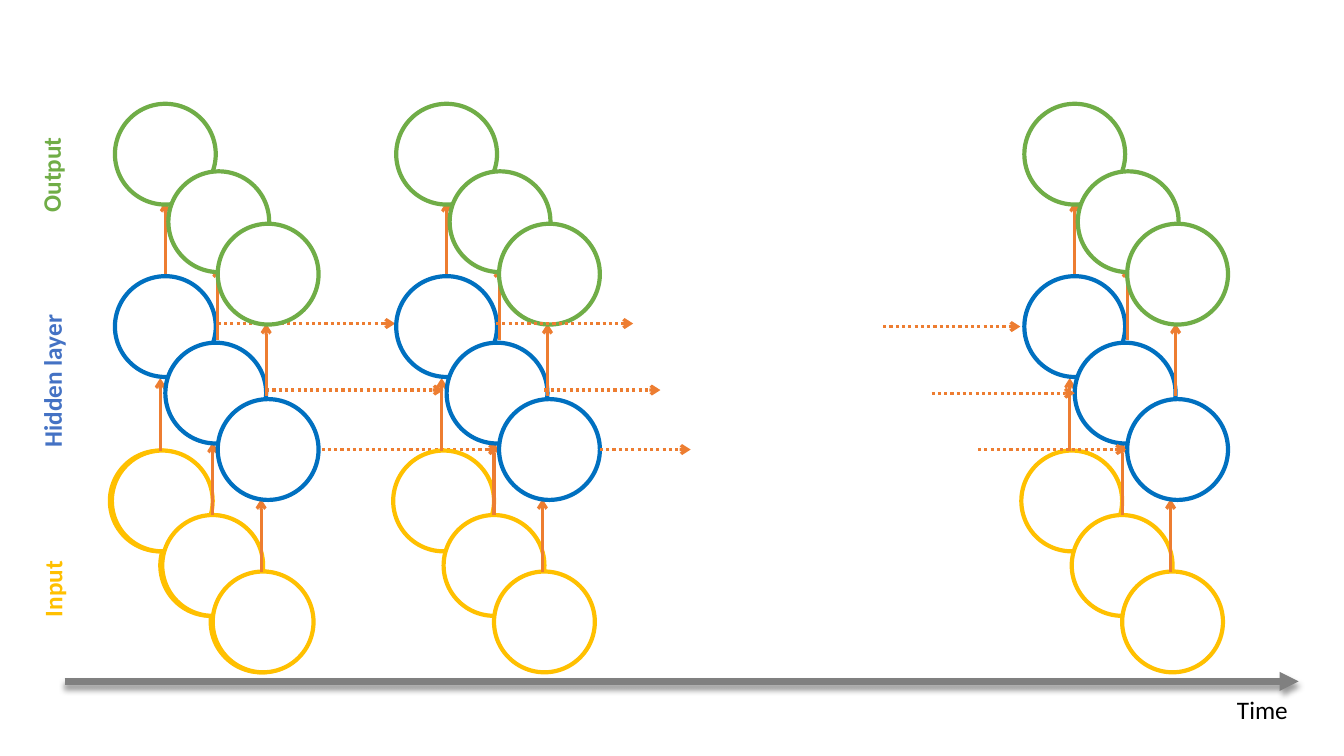
from dataclasses import dataclass

from lxml.etree import SubElement as Sub
from pptx import Presentation
from pptx.dml.color import RGBColor as RGB
from pptx.enum.dml import MSO_LINE as Dash
from pptx.enum.shapes import MSO_CONNECTOR as Link, MSO_SHAPE as Shape
from pptx.enum.text import MSO_AUTO_SIZE as Fit
from pptx.oxml.ns import qn
from pptx.util import Inches, Pt


@dataclass(frozen=True)
class Theme:
    font: str = "Calibri"
    size: float = 18
    white: str = "FFFFFF"
    black: str = "000000"
    gray: str = "808080"
    gold: str = "FFC000"
    blue: str = "0070C0"
    label: str = "4472C4"
    green: str = "70AD47"
    flow: str = "ED7D31"
    ring: float = 3
    thin: float = 2.25
    thick: float = 4.5


THEME = Theme()
STACKS = (1.11, 3.9, 10.13)
INPUT = ((0, 4.47), (0.5, 5.11), (1, 5.67))
HIDDEN = ((0.03, 2.74), (0.53, 3.4), (1.05, 3.96))
OUTPUT = ((0.03, 1.03), (0.56, 1.7), (1.05, 2.22))
LOWER = ((0.48, 4.47), (1, 5.11), (1.48, 5.67))
UPPER = ((0.53, 2.72), (1.05, 3.37), (1.53, 3.93))
RISE = 0.72
FIRST = ((3.19, 4.95, 4.46), (2.64, 4.4, 3.87), (2.16, 3.92, 3.21))
LATER = (
    (5.95, 6.85, 4.46), (5.4, 6.55, 3.87), (4.92, 6.28, 3.21),
    (9.7, 11.17, 4.46), (9.24, 10.66, 3.9), (8.76, 10.12, 3.24),
)


def arrow(shapes, start, end, color, width, head="arrow", dash=None):
    line = shapes.add_connector(Link.STRAIGHT, *map(Inches, start + end))
    line.line.color.rgb = RGB.from_string(color)
    line.line.width = Pt(width)
    if dash:
        line.line.dash_style = dash
    props = line._element.spPr
    Sub(props.find(qn("a:ln")), qn("a:tailEnd"), type=head)
    return Sub(props, qn("a:effectLst"))


def shade(effects):
    outer = Sub(effects, qn("a:outerShdw"), blurRad=str(Pt(4)),
                dist=str(Pt(3)), dir="5400000", rotWithShape="0")
    tint = Sub(outer, qn("a:srgbClr"), val=THEME.black)
    Sub(tint, qn("a:alpha"), val="40000")


def layer(shapes, left, spots, color):
    for x, y in spots:
        node = shapes.add_shape(Shape.OVAL, Inches(left + x), Inches(y),
                                Inches(1), Inches(1))
        node.shadow.inherit = False
        node.fill.solid()
        node.fill.fore_color.rgb = RGB.from_string(THEME.white)
        node.line.color.rgb = RGB.from_string(color)
        node.line.width = Pt(THEME.ring)


def rises(shapes, left, spots):
    for x, y in spots:
        arrow(shapes, (left + x, y), (left + x, y - RISE),
              THEME.flow, THEME.thin)


def stack(slide, left):
    shapes = slide.shapes.add_group_shape().shapes
    layer(shapes, left, INPUT, THEME.gold)
    rises(shapes, left, LOWER)
    layer(shapes, left, HIDDEN, THEME.blue)
    rises(shapes, left, UPPER)
    layer(shapes, left, OUTPUT, THEME.green)


def steps(slide, spans):
    for start, end, y in spans:
        arrow(slide.shapes, (start, y), (end, y), THEME.flow, THEME.thin,
              dash=Dash.ROUND_DOT)


def label(slide, text, left, top, width, color, turn=0, bold=False):
    box = slide.shapes.add_textbox(Inches(left), Inches(top),
                                   Inches(width), Inches(0.4))
    box.rotation = turn
    frame = box.text_frame
    frame.word_wrap = False
    frame.auto_size = Fit.SHAPE_TO_FIT_TEXT
    frame.text = text
    font = frame.paragraphs[0].font
    font.name = THEME.font
    font.size = Pt(THEME.size)
    font.bold = bold
    font.color.rgb = RGB.from_string(color)


def main():
    deck = Presentation()
    deck.slide_width = Inches(13.33)
    deck.slide_height = Inches(7.5)
    slide = deck.slides.add_slide(deck.slide_layouts[6])

    steps(slide, FIRST)
    shade(arrow(slide.shapes, (0.64, 6.76), (12.88, 6.76),
                THEME.gray, THEME.thick, "triangle"))
    label(slide, "Time", 12.17, 6.84, 0.71, THEME.black)

    back = slide.shapes.add_group_shape()
    layer(back.shapes, STACKS[0] - 0.02, INPUT, THEME.gold)
    for left in STACKS:
        stack(slide, left)
    steps(slide, LATER)

    for text, left, top, width, color in (
        ("Input", 0.14, 5.64, 0.76, THEME.gold),
        ("Hidden layer", -0.25, 3.57, 1.53, THEME.label),
        ("Output", 0.03, 1.53, 0.95, THEME.green),
    ):
        label(slide, text, left, top, width, color, turn=270, bold=True)

    deck.save("out.pptx")


if __name__ == "__main__":
    main()
